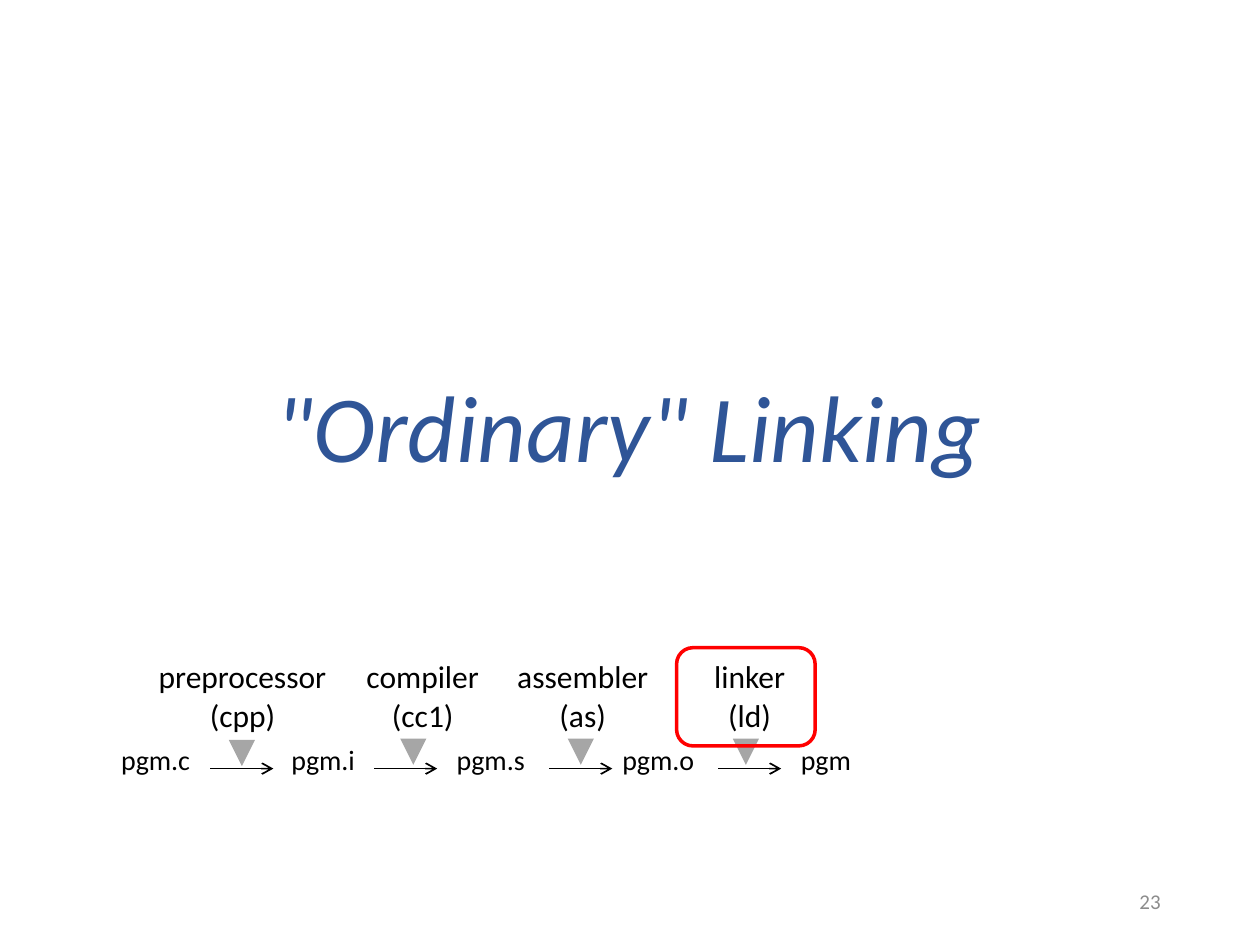
"""Build the "Ordinary" Linking section slide."""
from dataclasses import dataclass

import pptx
import pptx.dml.color
import pptx.enum.shapes
import pptx.enum.text
import pptx.oxml.ns
import pptx.util
from lxml import etree
from pptx.util import Inches

ALIGN = pptx.enum.text.PP_ALIGN


@dataclass(frozen=True)
class Theme:
    """Colours and type sizes."""
    face: str = "Calibri"
    title: str = "2F5597"
    ink: str = "000000"
    pale: str = "8C8C8C"
    drop: str = "A6A6A6"
    mark: str = "FF0000"
    big: int = 54
    tool: int = 18
    file: int = 16
    small: int = 12


THEME = Theme()


def tint(code):
    """Return a colour from its hex code."""
    return pptx.dml.color.RGBColor.from_string(code)


def write(frame, text, size, color, align=ALIGN.CENTER):
    """Fill a text frame, one paragraph per line."""
    frame.text = text
    for para in frame.paragraphs:
        para.alignment = align
        para.font.name = THEME.face
        para.font.size = pptx.util.Pt(size)
        para.font.color.rgb = tint(color)


def add_text(slide, box, text, size, color, align=ALIGN.CENTER):
    """Add a middle-anchored text box and return its first paragraph."""
    frame = slide.shapes.add_textbox(*map(Inches, box)).text_frame
    frame.word_wrap = True
    frame.vertical_anchor = pptx.enum.text.MSO_ANCHOR.MIDDLE
    write(frame, text, size, color, align)
    return frame.paragraphs[0]


def add_row(slide, left, top, height, widths, labels, size):
    """Add a plain table of one row."""
    table = slide.shapes.add_table(
        1, len(labels), Inches(left), Inches(top),
        Inches(sum(widths)), Inches(height)).table
    table.first_row = table.horz_banding = False
    for col, (width, label) in enumerate(zip(widths, labels)):
        table.columns[col].width = Inches(width)
        cell = table.cell(0, col)
        cell.fill.background()
        write(cell.text_frame, label, size, THEME.ink)


def add_arrow(slide, start, end, color, weight, head):
    """Add a straight arrow between two points."""
    arrow = slide.shapes.add_connector(
        pptx.enum.shapes.MSO_CONNECTOR.STRAIGHT,
        *map(Inches, (*start, *end)))
    arrow.line.color.rgb = tint(color)
    arrow.line.width = pptx.util.Pt(weight)
    name = pptx.oxml.ns.qn
    etree.SubElement(arrow.line._get_or_add_ln(), name("a:tailEnd"), type=head)
    etree.SubElement(arrow._element.spPr, name("a:effectLst"))


def add_frame(slide, box):
    """Add the rounded outline around the current step."""
    shape = slide.shapes.add_shape(
        pptx.enum.shapes.MSO_SHAPE.ROUNDED_RECTANGLE, *map(Inches, box))
    shape.shadow.inherit = False
    shape.fill.background()
    shape.line.color.rgb = tint(THEME.mark)
    shape.line.width = pptx.util.Pt(2)


def main():
    """Build and save the slide."""
    deck = pptx.Presentation()
    deck.slide_width, deck.slide_height = Inches(10), Inches(7.5)
    slide = deck.slides.add_slide(deck.slide_layouts[6])

    title = add_text(slide, (0.68, 1.87, 8.62, 3.12), '"Ordinary" Linking',
                     THEME.big, THEME.title)
    title.font.italic = True
    title.line_spacing = 0.9
    add_text(slide, (7.06, 6.95, 2.25, 0.4), "23", THEME.small, THEME.pale,
             ALIGN.RIGHT)

    files = ["pgm.c", "pgm.i", "pgm.s", "pgm.o", "pgm"]
    add_row(slide, 0.57, 5.85, 0.41, [1.33] * len(files), files, THEME.file)
    for left in (1.67, 2.97, 4.36, 5.7):
        add_arrow(slide, (left, 6.1), (left + 0.5, 6.1), THEME.ink, 1, "arrow")

    tools = ["preprocessor\n(cpp)", "compiler\n(cc1)", "assembler\n(as)",
             "linker\n(ld)"]
    add_row(slide, 1.1, 5.18, 0.7, [1.65, 1.21, 1.33, 1.32], tools, THEME.tool)
    for mid, top in ((1.92, 5.88), (3.28, 5.87), (4.61, 5.87), (5.92, 5.87)):
        add_arrow(slide, (mid, top), (mid, top + 0.2), THEME.drop, 5,
                  "triangle")
    add_frame(slide, (5.37, 5.14, 1.1, 0.78))

    deck.save("out.pptx")


if __name__ == "__main__":
    main()
